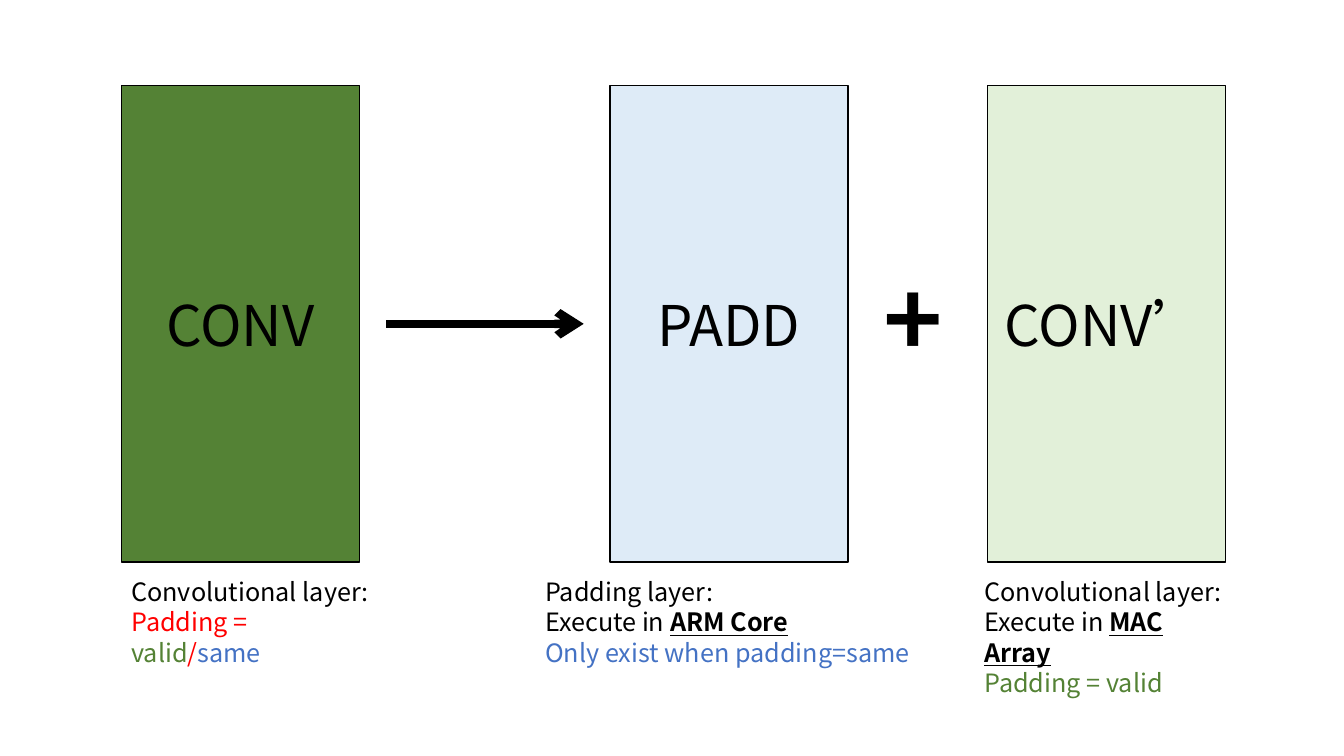
from lxml import etree
from pptx import Presentation
from pptx.dml.color import RGBColor
from pptx.enum.lang import MSO_LANGUAGE_ID
from pptx.enum.shapes import MSO_CONNECTOR, MSO_SHAPE
from pptx.enum.text import MSO_ANCHOR, MSO_AUTO_SIZE, PP_ALIGN
from pptx.oxml.ns import qn
from pptx.util import Cm, Pt

RECTANGLE = MSO_SHAPE.RECTANGLE
STRAIGHT = MSO_CONNECTOR.STRAIGHT
MIDDLE = MSO_ANCHOR.MIDDLE
CENTER, LEFT = PP_ALIGN.CENTER, PP_ALIGN.LEFT
GROW = MSO_AUTO_SIZE.SHAPE_TO_FIT_TEXT
CHINESE = MSO_LANGUAGE_ID.SIMPLIFIED_CHINESE

BLACK, RED, BLUE, GREEN = "000000", "FF0000", "4472C4", "548235"
PALE_BLUE, PALE_GREEN = "DEEBF7", "E2F0D9"
STRONG = {"bold": True, "underline": True}

BLOCK_TOP, BLOCK_WIDTH, BLOCK_HEIGHT = 2.16, 6, 12
CAPTION_TOP = 14.4


def color(value):
    return RGBColor.from_string(value)


class LayerDiagram:
    font_name = "Noto Sans CJK SC"

    def __init__(self, slide):
        self.slide = slide

    def add_paragraphs(self, shape, paragraphs, size, alignment=LEFT):
        """Fill a shape with paragraphs, each a list of (text, color, format) runs."""
        frame = shape.text_frame
        frame.word_wrap = True
        for index, runs in enumerate(paragraphs):
            paragraph = frame.add_paragraph() if index else frame.paragraphs[0]
            paragraph.alignment = alignment
            for text, text_color, extra in runs:
                run = paragraph.add_run()
                run.text = text
                values = {"name": self.font_name, "size": Pt(size), "language_id": CHINESE}
                for name, value in {**values, **extra}.items():
                    setattr(run.font, name, value)
                run.font.color.rgb = color(text_color)
                east_asian = etree.SubElement(run.font._element, qn("a:ea"))
                east_asian.set("typeface", self.font_name)

    def block(self, left, label, fill):
        shape = self.slide.shapes.add_shape(
            RECTANGLE, Cm(left), Cm(BLOCK_TOP), Cm(BLOCK_WIDTH), Cm(BLOCK_HEIGHT))
        shape.shadow.inherit = False
        shape.fill.solid()
        shape.fill.fore_color.rgb = color(fill)
        shape.line.color.rgb = color(BLACK)
        shape.line.width = Pt(1)
        shape.text_frame.vertical_anchor = MIDDLE
        self.add_paragraphs(shape, [[(label, BLACK, {})]], 40, CENTER)

    def text(self, left, top, width, height, paragraphs, size=18):
        box = self.slide.shapes.add_textbox(Cm(left), Cm(top), Cm(width), Cm(height))
        self.add_paragraphs(box, paragraphs, size)
        box.text_frame.auto_size = GROW

    def arrow(self, start, end, y):
        connector = self.slide.shapes.add_connector(
            STRAIGHT, Cm(start), Cm(y), Cm(end), Cm(y))
        connector.line.color.rgb = color(BLACK)
        connector.line.width = Pt(6)
        properties = connector._element.spPr
        line = properties.find(qn("a:ln"))
        etree.SubElement(line, qn("a:tailEnd")).set("type", "arrow")
        etree.SubElement(properties, qn("a:effectLst"))


def main():
    presentation = Presentation()
    presentation.slide_width, presentation.slide_height = Cm(33.87), Cm(19.05)
    slide = presentation.slides.add_slide(presentation.slide_layouts[6])
    diagram = LayerDiagram(slide)

    for left, label, fill in [
        (3.06, "CONV", GREEN),
        (15.37, "PADD", PALE_BLUE),
        (24.89, "CONV’", PALE_GREEN),
    ]:
        diagram.block(left, label, fill)
    diagram.arrow(9.73, 14.71, BLOCK_TOP + BLOCK_HEIGHT / 2)
    diagram.text(22.02, 6.35, 2.21, 3.33, [[("+", BLACK, {"bold": True})]], 72)

    convolution = [("Convolutional layer:", BLACK, {})]
    captions = [
        (3.06, 6.65, 1.8, [
            convolution,
            [("Padding = ", RED, {}), ("valid", GREEN, {}),
             ("/", RED, {}), ("same", BLUE, {})],
        ]),
        (13.49, 10.08, 2.57, [
            [("Padding layer:", BLACK, {})],
            [("Execute in ", BLACK, {}), ("ARM Core", BLACK, STRONG)],
            [("Only exist when padding=same", BLUE, {})],
        ]),
        (24.56, 6.65, 2.57, [
            convolution,
            [("Execute in ", BLACK, {}), ("MAC Array", BLACK, STRONG)],
            [("Padding = valid", GREEN, {})],
        ]),
    ]
    for left, width, height, paragraphs in captions:
        diagram.text(left, CAPTION_TOP, width, height, paragraphs)

    presentation.save("out.pptx")


if __name__ == "__main__":
    main()
